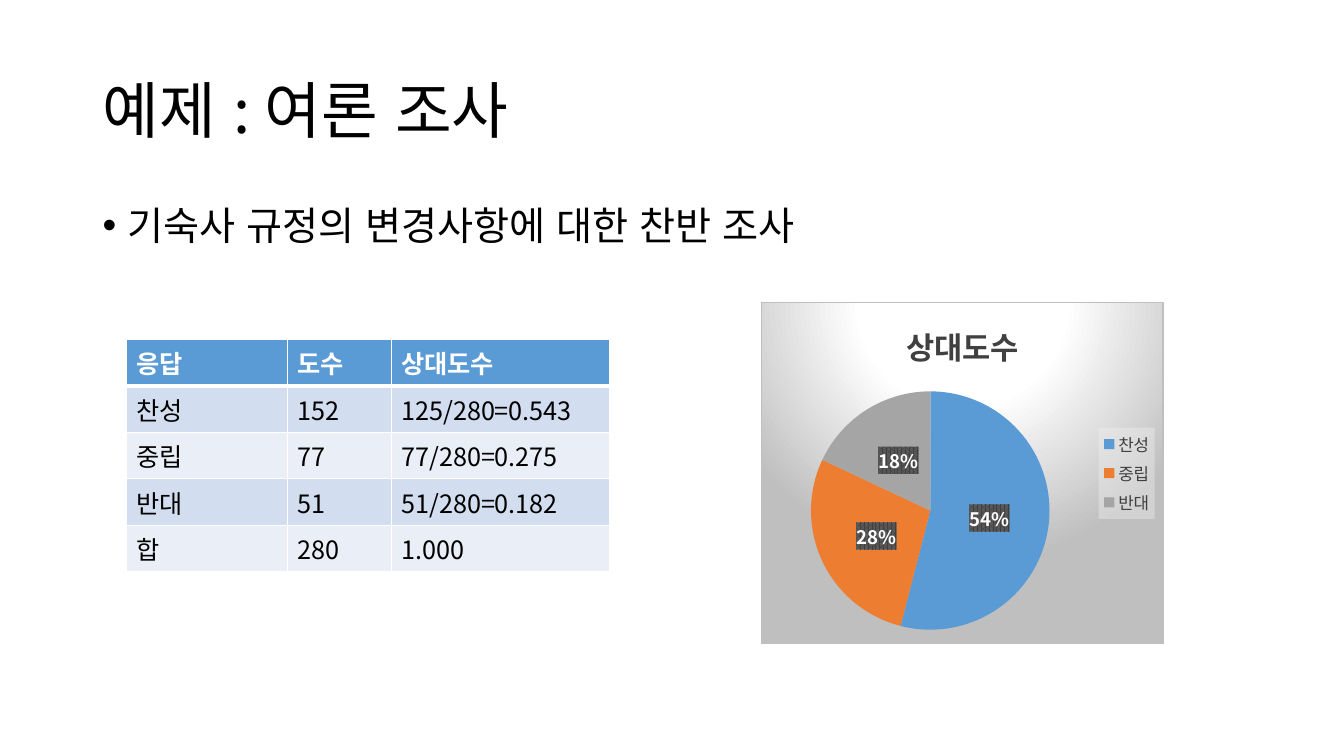
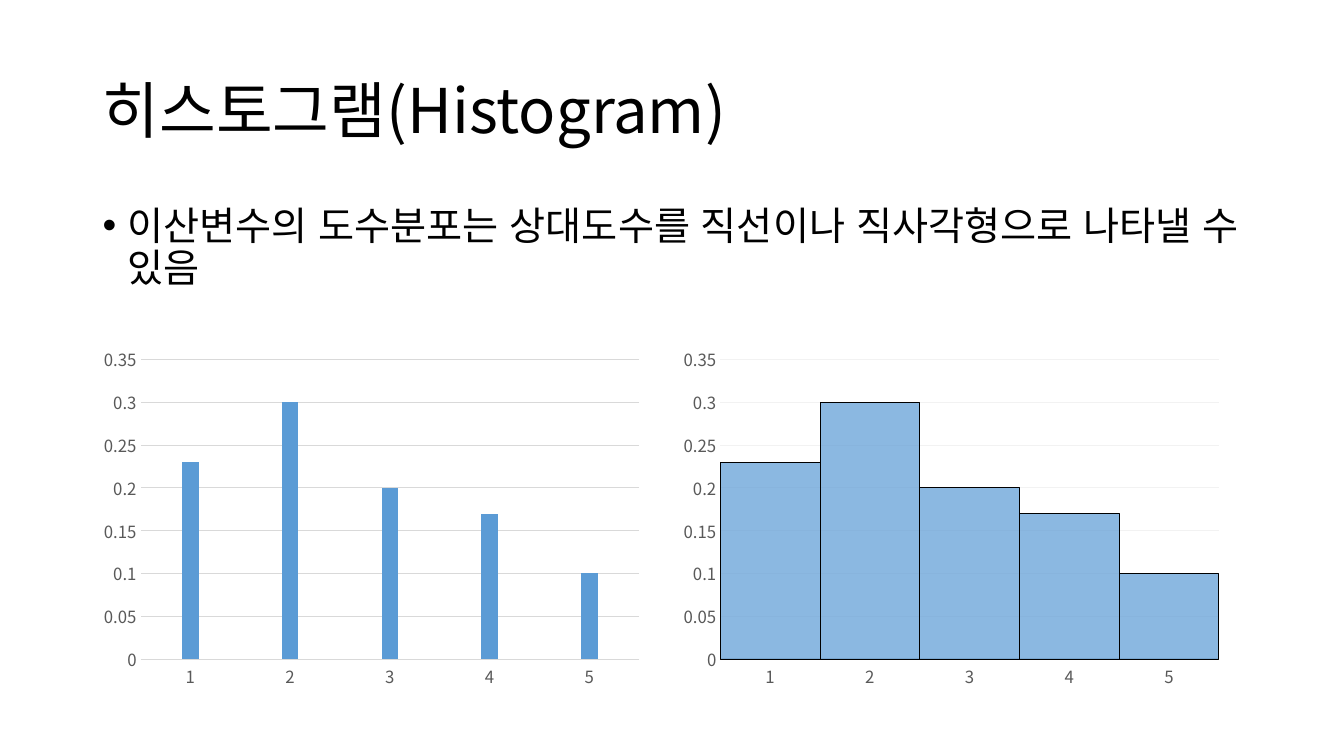
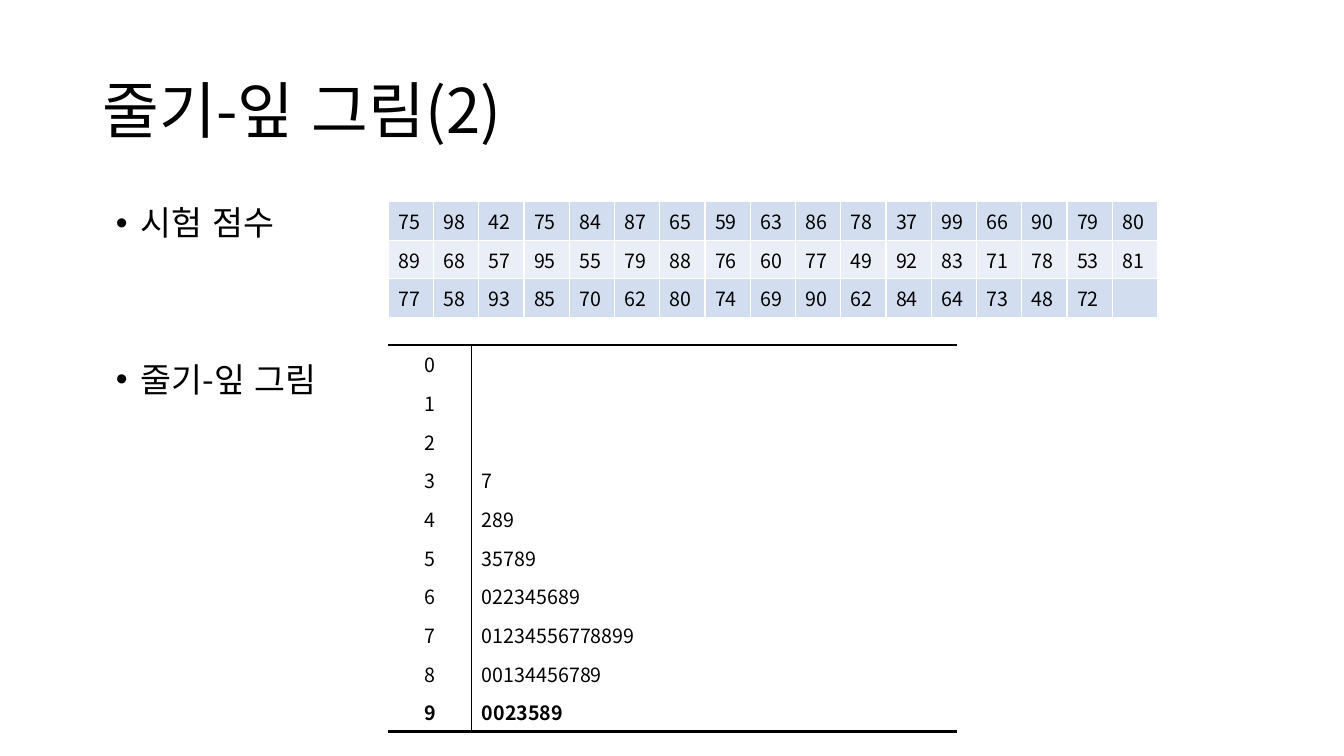
from lxml import etree
from pptx import Presentation
from pptx import util as u
from pptx.chart.data import CategoryChartData
from pptx.dml.color import RGBColor
from pptx.enum import chart as ch, lang, text as t
from pptx.oxml import parse_xml
from pptx.oxml.ns import nsdecls, qn

FONT = "Noto Sans CJK KR"
PLAIN = "{2D5ABB26-0587-4C30-8999-92F81FD0307C}"
BLACK = RGBColor(0, 0, 0)
WHITE = RGBColor(255, 255, 255)
BLUE = RGBColor(0x5B, 0x9B, 0xD5)
ORANGE = RGBColor(0xED, 0x7D, 0x31)
GRAY = RGBColor(0xA5, 0xA5, 0xA5)
DARK = RGBColor(0x40, 0x40, 0x40)
LABEL = RGBColor(0x59, 0x59, 0x59)
RULE = RGBColor(0xD9, 0xD9, 0xD9)
AXIS = RGBColor(0xBF, 0xBF, 0xBF)
FAINT = RGBColor(0xF2, 0xF2, 0xF2)
BANDS = [RGBColor(0xD2, 0xDE, 0xEF), RGBColor(0xEA, 0xEF, 0xF7)]

LEFT, WIDE = 0.92, 11.5

POLL_TITLE = "예제 : 여론 조사"
POLL_NOTE = ["기숙사 규정의 변경사항에 대한 찬반 조사"]
POLL = [
    ("응답", "도수", "상대도수"),
    ("찬성", "152", "125/280=0.543"),
    ("중립", "77", "77/280=0.275"),
    ("반대", "51", "51/280=0.182"),
    ("합", "280", "1.000"),
]
SHARES = {"찬성": 54, "중립": 28, "반대": 18}

HIST_TITLE = "히스토그램(Histogram)"
HIST_NOTE = ["이산변수의 도수분포는 상대도수를 직선이나 직사각형으로 나타낼 수 있음"]
FREQ = {"1": 0.23, "2": 0.3, "3": 0.2, "4": 0.17, "5": 0.1}

STEM_TITLE = "줄기-잎 그림(2)"
STEM_NOTE = ["시험 점수", "줄기-잎 그림"]
SCORES = [
    "75 98 42 75 84 87 65 59 63 86 78 37 99 66 90 79 80".split(),
    "89 68 57 95 55 79 88 76 60 77 49 92 83 71 78 53 81".split(),
    "77 58 93 85 70 62 80 74 69 90 62 84 64 73 48 72".split() + [""],
]
LEAVES = ["", "", "", "7", "289", "35789", "022345689",
          "01234556778899", "00134456789", "0023589"]
STEMS = [(str(stem), leaf) for stem, leaf in enumerate(LEAVES)]


def box(*sides):
    return [u.Inches(side) for side in sides]


def style(font, size, color=BLACK, bold=False):
    font.size = u.Pt(size)
    font.bold = bold
    font.color.rgb = color
    font.name = FONT
    font.language_id = lang.MSO_LANGUAGE_ID.KOREAN


def add_ea(root):
    for latin in list(root.iter(qn("a:latin"))):
        latin.addnext(parse_xml(f'<a:ea {nsdecls("a")} typeface="{FONT}"/>'))


def add_slide(deck, title, notes, size=28, left=LEFT, gap=10):
    slide = deck.slides.add_slide(deck.slide_layouts[5])
    head = slide.shapes.title
    head.left, head.top, head.width, head.height = box(LEFT, 0.4, WIDE, 1.45)
    frame = head.text_frame
    frame.text = title
    frame.auto_size = t.MSO_AUTO_SIZE.NONE
    frame.vertical_anchor = t.MSO_ANCHOR.MIDDLE
    para = frame.paragraphs[0]
    para.alignment = t.PP_ALIGN.LEFT
    para.line_spacing = 0.9
    style(para.runs[0].font, 44)

    frame = slide.shapes.add_textbox(*box(left, 2, WIDE, 4.76)).text_frame
    frame.word_wrap = True
    frame.text = "\n".join(notes)
    for row, para in enumerate(frame.paragraphs):
        para.line_spacing = 0.9
        para.space_before = u.Pt(gap if row else 10)
        style(para.runs[0].font, size)
        props = para._p.get_or_add_pPr()
        props.set("marL", str(u.Inches(0.25)))
        props.set("indent", str(-u.Inches(0.25)))
        etree.SubElement(props, qn("a:buFont")).set("typeface", "Arial")
        etree.SubElement(props, qn("a:buChar")).set("char", "•")
    return slide


def add_edges(cell, edges):
    props = cell._tc.get_or_add_tcPr()
    sides = [side for side in "LRTB" if side in edges]
    for spot, side in enumerate(sides):
        color, width = edges[side]
        props.insert(spot, parse_xml(
            f'<a:ln{side} {nsdecls("a")} w="{u.Pt(width)}"><a:solidFill>'
            f'<a:srgbClr val="{color}"/></a:solidFill></a:ln{side}>'))


def add_grid(slide, data, place, widths, size, look):
    rows, cols = len(data), len(widths)
    frame = slide.shapes.add_table(rows, cols, *box(*place))
    frame.element.find(f'.//{qn("a:tableStyleId")}').text = PLAIN
    table = frame.table
    table.first_row = table.horz_banding = False
    for col, width in zip(table.columns, widths):
        col.width = u.Inches(width)
    for r, line in enumerate(data):
        for c, words in enumerate(line):
            cell = table.cell(r, c)
            fill, color, bold, align, edges = look(r, c)
            cell.fill.solid()
            cell.fill.fore_color.rgb = fill
            cell.text = words
            para = cell.text_frame.paragraphs[0]
            para.alignment = align
            for run in para.runs:
                style(run.font, size, color, bold)
            if not words:
                end = etree.SubElement(para._p, qn("a:endParaRPr"))
                end.set("sz", str(size * 100))
            add_edges(cell, edges)


def poll_look(r, c):
    edges = {side: (WHITE, 1) for side in "LRTB"}
    if r < 2:
        edges["T" if r else "B"] = (WHITE, 3)
    if r == 0:
        return BLUE, WHITE, True, t.PP_ALIGN.LEFT, edges
    return BANDS[(r - 1) % 2], BLACK, False, t.PP_ALIGN.LEFT, edges


def score_look(r, c):
    edges = {side: (WHITE, 1) for side in "LRTB"}
    return BANDS[r % 2], BLACK, False, t.PP_ALIGN.LEFT, edges


def stem_look(r, c):
    last = r == len(STEMS) - 1
    edges = {"L" if c else "R": (BLACK, 1)}
    if r == 0:
        edges["T"] = (BLACK, 2)
    if last:
        edges["B"] = (BLACK, 2)
    align = t.PP_ALIGN.LEFT if c else t.PP_ALIGN.CENTER
    return WHITE, BLACK, last, align, edges


def add_plot(slide, kind, name, values, place):
    data = CategoryChartData()
    data.categories = list(values)
    data.add_series(name, list(values.values()))
    chart = slide.shapes.add_chart(kind, *box(*place), data).chart
    style(chart.font, 10)
    chart.has_legend = False
    return chart


def paint(kind, inner):
    return parse_xml(f'<{kind} {nsdecls("c", "a")}>{inner}</{kind}>')


def add_pie(slide):
    chart = add_plot(slide, ch.XL_CHART_TYPE.PIE, "상대도수", SHARES,
                     (7.55, 3, 3.99, 3.39))
    chart.has_title = True
    frame = chart.chart_title.text_frame
    frame.text = "상대도수"
    style(frame.paragraphs[0].runs[0].font, 22, DARK, True)
    chart.has_legend = True
    legend = chart.legend
    legend.position = ch.XL_LEGEND_POSITION.RIGHT
    legend.include_in_layout = False
    style(legend.font, 12, DARK)

    plot = chart.plots[0]
    plot.vary_by_categories = True
    for spot, color in enumerate([BLUE, ORANGE, GRAY]):
        fill = plot.series[0].points[spot].format.fill
        fill.solid()
        fill.fore_color.rgb = color
    plot.has_data_labels = True
    labels = plot.data_labels
    labels.show_percentage = True
    labels.show_value = False
    labels.number_format = "0%"
    labels.number_format_is_linked = False
    labels.position = ch.XL_LABEL_POSITION.CENTER
    style(labels.font, 13.3, WHITE, True)

    root = chart.element
    stops = "".join(f'<a:gs pos="{at * 1000}"><a:srgbClr val="{color}"/></a:gs>'
                    for at, color in [(0, WHITE), (39, WHITE), (100, AXIS)])
    root.find(qn("c:chart")).addnext(paint(
        "c:spPr",
        f'<a:gradFill><a:gsLst>{stops}</a:gsLst><a:path path="circle">'
        '<a:fillToRect l="50000" t="-80000" r="50000" b="180000"/></a:path>'
        f'</a:gradFill><a:ln w="{u.Pt(0.75)}"><a:solidFill>'
        f'<a:srgbClr val="{AXIS}"/></a:solidFill></a:ln>'))
    root.find(f'.//{qn("c:legend")}/{qn("c:overlay")}').addnext(paint(
        "c:spPr",
        f'<a:solidFill><a:srgbClr val="{FAINT}"><a:alpha val="39000"/>'
        '</a:srgbClr></a:solidFill>'))
    root.find(f'.//{qn("c:dLbls")}/{qn("c:numFmt")}').addnext(paint(
        "c:spPr",
        f'<a:pattFill prst="pct75"><a:fgClr><a:srgbClr val="{DARK}"/></a:fgClr>'
        f'<a:bgClr><a:srgbClr val="{LABEL}"/></a:bgClr></a:pattFill>'))
    add_ea(root)


def add_bars(slide, left, gap, lap, grid, base, width, clear=None):
    chart = add_plot(slide, ch.XL_CHART_TYPE.COLUMN_CLUSTERED, "Series 1",
                     FREQ, (left, 3.37, 5.53, 3.53))
    chart.has_title = False
    plot = chart.plots[0]
    plot.vary_by_categories = False
    plot.gap_width, plot.overlap = gap, lap
    cats, vals = chart.category_axis, chart.value_axis
    for axis in (cats, vals):
        axis.major_tick_mark = axis.minor_tick_mark = ch.XL_TICK_MARK.NONE
        style(axis.tick_labels.font, 12, LABEL)
    cats.format.line.color.rgb = base
    cats.format.line.width = u.Pt(width)
    vals.format.line.fill.background()
    vals.minimum_scale, vals.maximum_scale, vals.major_unit = 0, 0.35, 0.05
    vals.tick_labels.number_format = "General"
    vals.tick_labels.number_format_is_linked = False
    rule = vals.major_gridlines.format.line
    rule.color.rgb = grid
    rule.width = u.Pt(0.75)
    bars = plot.series[0].format
    bars.fill.solid()
    bars.fill.fore_color.rgb = BLUE
    if clear:
        tint = chart.element.find(f'.//{qn("c:ser")}//{qn("a:srgbClr")}')
        etree.SubElement(tint, qn("a:alpha")).set("val", str(clear * 1000))
        bars.line.color.rgb = BLACK
        bars.line.width = u.Pt(0.75)
    add_ea(chart.element)


def main():
    deck = Presentation()
    deck.slide_width, deck.slide_height = box(13.33, 7.5)

    poll = add_slide(deck, POLL_TITLE, POLL_NOTE)
    add_grid(poll, POLL, (1.25, 3.37, 4.8, 2.3), (1.6, 1.03, 2.17), 18, poll_look)
    add_pie(poll)

    hist = add_slide(deck, HIST_TITLE, HIST_NOTE)
    add_bars(hist, 6.67, 0, 25, FAINT, AXIS, 1.25, clear=70)
    add_bars(hist, LEFT, 500, 24, RULE, RULE, 0.75)

    stem = add_slide(deck, STEM_TITLE, STEM_NOTE, size=24, left=1.05, gap=86)
    cols = len(SCORES[0])
    add_grid(stem, SCORES, (3.85, 2, 7.63, 1.15), [7.63 / cols] * cols, 14, score_look)
    add_grid(stem, STEMS, (3.85, 3.42, 5.64, 3.84), (0.83, 4.81), 14, stem_look)

    for slide in deck.slides:
        add_ea(slide.element)
    deck.save("out.pptx")


if __name__ == "__main__":
    main()
